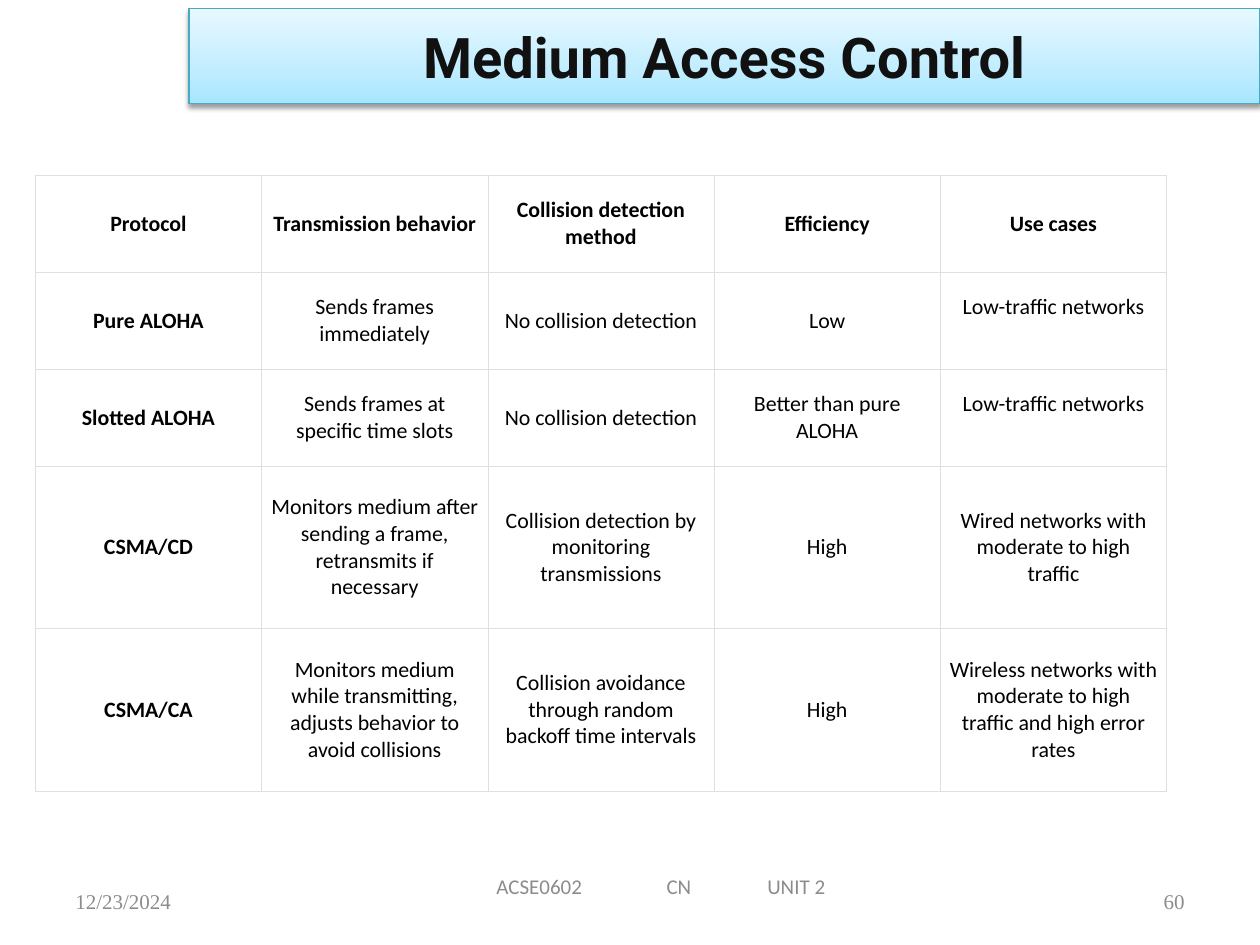
"""Build a slide comparing medium access control protocols in a table."""
import copy

import pptx
import pptx.dml.color
import pptx.enum.text
import pptx.oxml
import pptx.oxml.ns
import pptx.util

RGBColor = pptx.dml.color.RGBColor
Pt = pptx.util.Pt
Inches = pptx.util.Inches
Align = pptx.enum.text.PP_ALIGN
Anchor = pptx.enum.text.MSO_ANCHOR
qn = pptx.oxml.ns.qn
NS = pptx.oxml.ns.nsdecls("a")

BLACK = RGBColor(0x00, 0x00, 0x00)
WHITE = RGBColor(0xFF, 0xFF, 0xFF)
HEADING = RGBColor(0x11, 0x11, 0x11)
GREY = RGBColor(0x8C, 0x8C, 0x8C)
RULE = RGBColor(0xDF, 0xDF, 0xDF)
TEAL = RGBColor(0x46, 0xAA, 0xC5)
SKY = [(0, RGBColor(0xA7, 0xE6, 0xFF)), (0.35, RGBColor(0xC1, 0xED, 0xFF)),
       (1, RGBColor(0xE7, 0xF8, 0xFF))]

HEADERS = ["Protocol", "Transmission behavior", "Collision detection method",
           "Efficiency", "Use cases"]
PROTOCOLS = [
    ["Pure ALOHA", "Sends frames immediately", "No collision detection", "Low",
     "Low-traffic networks"],
    ["Slotted ALOHA", "Sends frames at specific time slots", "No collision detection",
     "Better than pure ALOHA", "Low-traffic networks"],
    ["CSMA/CD", "Monitors medium after sending a frame, retransmits if necessary",
     "Collision detection by monitoring transmissions", "High",
     "Wired networks with moderate to high traffic"],
    ["CSMA/CA", "Monitors medium while transmitting, adjusts behavior to avoid collisions",
     "Collision avoidance through random backoff time intervals", "High",
     "Wireless networks with moderate to high traffic and high error rates"],
]

deck = pptx.Presentation()
deck.slide_width, deck.slide_height = Inches(10), Inches(7.5)
slide = deck.slides.add_slide(deck.slide_layouts[5])


def area(left, top, width, height):
    """Turn percentages of the slide's size into lengths."""
    across, down = deck.slide_width / 100, deck.slide_height / 100
    return int(left * across), int(top * down), int(width * across), int(height * down)


def write(frame, text, size=12, font="Calibri", color=GREY, bold=False,
          align=Align.LEFT, tabs=()):
    """Fill a text frame with one formatted paragraph."""
    frame.word_wrap = True
    frame.vertical_anchor = Anchor.MIDDLE
    paragraph = frame.paragraphs[0]
    paragraph.text = text
    paragraph.alignment = align
    if tabs:
        stops = "".join(f'<a:tab pos="{Inches(stop)}" algn="l"/>' for stop in tabs)
        paragraph._p.get_or_add_pPr().append(
            pptx.oxml.parse_xml(f"<a:tabLst {NS}>{stops}</a:tabLst>"))
    for run in paragraph.runs:
        run.font.size, run.font.name, run.font.bold = Pt(size), font, bold
        run.font.color.rgb = color


heading = slide.shapes.title
heading.left, heading.top, heading.width, heading.height = area(15, 0.93, 85, 10)
write(heading.text_frame, "Medium Access Control", size=32, font="Roboto",
      color=HEADING, bold=True, align=Align.CENTER)
heading.text_frame.auto_size = pptx.enum.text.MSO_AUTO_SIZE.NONE
heading.fill.gradient()
heading.fill.gradient_angle = 90
stop_list = heading.element.spPr.find(qn("a:gradFill")).find(qn("a:gsLst"))
stop_list.insert(1, copy.deepcopy(stop_list[0]))
for stop, (position, color) in zip(heading.fill.gradient_stops, SKY):
    stop.position = position
    stop.color.rgb = color
heading.line.color.rgb = TEAL
heading.line.width = Pt(0.75)
heading.element.spPr.append(pptx.oxml.parse_xml(
    f'<a:effectLst {NS}><a:outerShdw blurRad="{Pt(3.1)}" dist="{Pt(1.6)}" dir="5400000" '
    'rotWithShape="0"><a:srgbClr val="000000"><a:alpha val="38000"/></a:srgbClr>'
    '</a:outerShdw></a:effectLst>'))

rows = [HEADERS] + PROTOCOLS
comparison = slide.shapes.add_table(len(rows), len(HEADERS),
                                    *area(2.8, 18.53, 89.8, 65.07)).table
comparison.first_row = comparison.horz_banding = False
for row, height in zip(comparison.rows, [0.77] * 3 + [1.29] * 2):
    row.height = Inches(height)
for r, entries in enumerate(rows):
    for c, entry in enumerate(entries):
        cell = comparison.cell(r, c)
        write(cell.text_frame, entry, size=12.5, color=BLACK,
              bold=r == 0 or c == 0, align=Align.CENTER)
        cell.vertical_anchor = Anchor.MIDDLE
        cell.margin_left = cell.margin_right = Inches(0.07)
        cell.margin_top = Inches(0.1)
        cell.margin_bottom = Inches(0.31 if entry == "Low-traffic networks" else 0.1)
        cell.fill.solid()
        cell.fill.fore_color.rgb = WHITE
        for place, side in enumerate(["lnL", "lnR", "lnT", "lnB"]):
            cell._tc.tcPr.insert(place, pptx.oxml.parse_xml(
                f'<a:{side} {NS} w="{Pt(0.15)}"><a:solidFill><a:srgbClr val="{RULE}"/>'
                f'</a:solidFill></a:{side}>'))

for text, left, align in [("12/23/2024", 5, Align.LEFT), ("60", 71.7, Align.RIGHT)]:
    corner = slide.shapes.add_textbox(*area(left, 92.67, 23.3, 5.33))
    write(corner.text_frame, text, font="Times New Roman", align=align)

course = slide.shapes.add_textbox(*area(25, 91.07, 55, 5.33))
course.text_frame.margin_left = Inches(1.44)
write(course.text_frame, "ACSE0602\tCN\tUNIT 2", tabs=(1.35, 2.15))

deck.save("out.pptx")
